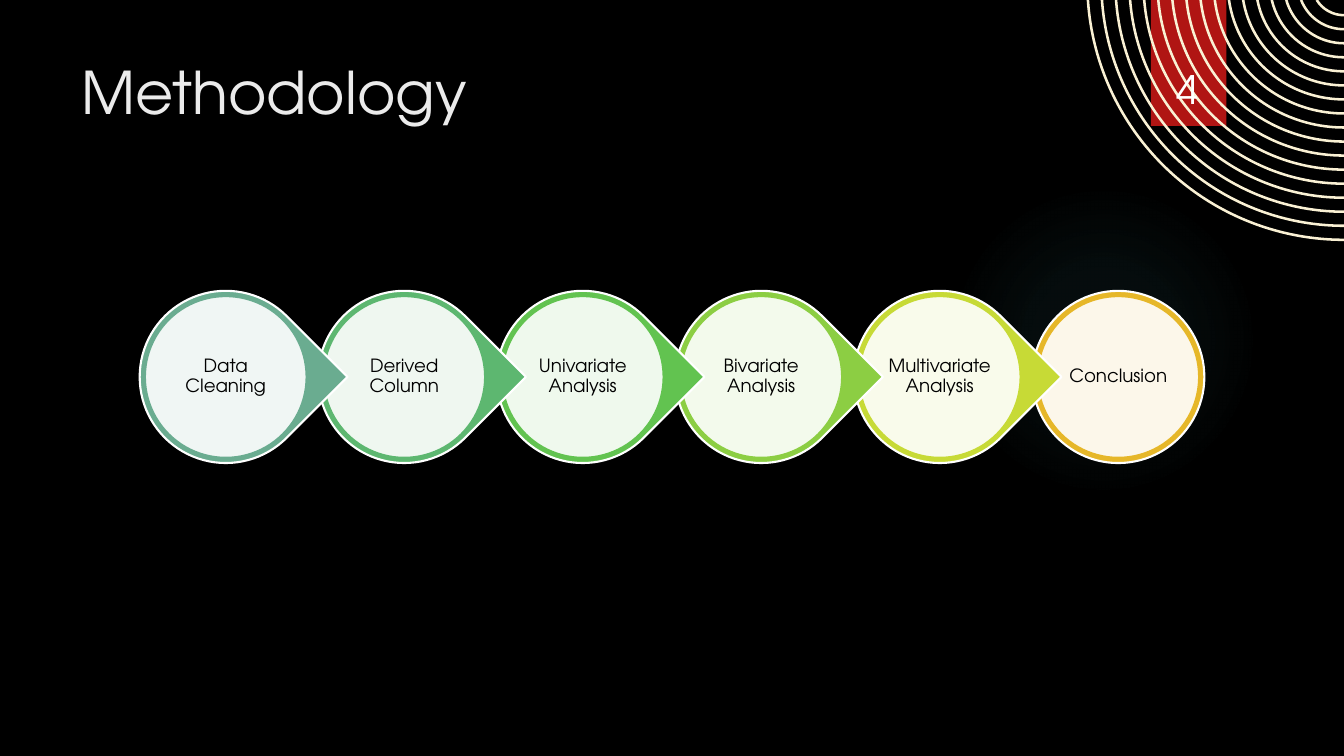
import math

import lxml.etree
import pptx
import pptx.dml.color
import pptx.enum.shapes
import pptx.enum.text
import pptx.oxml
import pptx.oxml.ns
import pptx.util

PX = 9525
FONT = "TeX Gyre Adventor"
HEX = {
    "back": "000000", "title": "EBEBEB", "white": "FFFFFF", "ink": "000000",
    "flag": "B01513", "ring": "FAF1D4", "glow": "50B9C1",
}
STEPS = [
    ("Data Cleaning", "6AAC90"),
    ("Derived Column", "5DB770"),
    ("Univariate Analysis", "62C350"),
    ("Bivariate Analysis", "8CCE43"),
    ("Multivariate Analysis", "C7DA36"),
    ("Conclusion", "E6B729"),
]
KIND = pptx.enum.shapes.MSO_SHAPE
ALIGN = pptx.enum.text.PP_ALIGN
ANCHOR = pptx.enum.text.MSO_ANCHOR


def rgb(code):
    return pptx.dml.color.RGBColor.from_string(code)


def place(shape, left, top, width, height):
    shape.left, shape.top = left * PX, top * PX
    shape.width, shape.height = width * PX, height * PX


def paint(shape, fill=None, line=None, weight=1.5):
    shape.shadow.inherit = False
    if fill:
        shape.fill.solid()
        shape.fill.fore_color.rgb = rgb(fill)
    else:
        shape.fill.background()
    if line:
        shape.line.color.rgb = rgb(line)
        shape.line.width = pptx.util.Pt(weight)
    else:
        shape.line.fill.background()


def add_form(slide, kind, box, fill, line=None):
    shape = slide.shapes.add_shape(kind, *(n * PX for n in box))
    paint(shape, fill, line)
    return shape


def fade(shape, alpha):
    """Make a solid fill partly clear; alpha is a percentage."""
    tint = shape._element.spPr.find(pptx.oxml.ns.qn("a:solidFill"))[0]
    node = lxml.etree.SubElement(tint, pptx.oxml.ns.qn("a:alpha"))
    node.set("val", str(alpha * 1000))


def write(shape, text, size, color, align, anchor):
    frame = shape.text_frame
    frame.word_wrap = True
    frame.vertical_anchor = anchor
    para = frame.paragraphs[0]
    para.alignment = align
    run = para.add_run()
    run.text = text
    run.font.name = FONT
    run.font.size = pptx.util.Pt(size)
    run.font.color.rgb = rgb(color)
    return frame


def add_text(slide, box, text, size, color, anchor):
    shape = slide.shapes.add_textbox(*(n * PX for n in box))
    return write(shape, text, size, color, ALIGN.CENTER, anchor)


def add_glow(slide):
    shape = add_form(slide, KIND.OVAL, (903, 176, 296, 296), HEX["glow"])
    stops = "".join(
        f'<a:gs pos="{pos * 1000}"><a:srgbClr val="{HEX["glow"]}">'
        f'<a:alpha val="{alpha * 1000}"/></a:srgbClr></a:gs>'
        for pos, alpha in ((0, 7), (36, 6), (69, 0), (100, 0))
    )
    grad = pptx.oxml.parse_xml(
        f'<a:gradFill {pptx.oxml.ns.nsdecls("a")}><a:gsLst>{stops}</a:gsLst>'
        '<a:path path="circle"><a:fillToRect l="50000" t="50000" '
        'r="50000" b="50000"/></a:path></a:gradFill>'
    )
    props = shape._element.spPr
    props.replace(props.find(pptx.oxml.ns.qn("a:solidFill")), grad)


def add_rings(slide):
    """Draw arcs about one centre, from the top edge to the right edge."""
    mid_x, rise = 1280, 16
    sizes = [30.5 + 13.37 * n for n in range(17)]
    starts = [round((mid_x - math.sqrt(r * r - rise * rise)) * PX) for r in sizes]
    pen = slide.shapes.build_freeform(starts[0], 0, scale=1.0)
    for left, radius in zip(starts, sizes):
        pen.move_to(left, 0)
        pen.add_line_segments([(mid_x * PX, round((radius - rise) * PX))], close=False)
    shape = pen.convert_to_shape()
    paint(shape, line=HEX["ring"], weight=1.8)
    chords = list(shape._element.iter(pptx.oxml.ns.qn("a:lnTo")))
    for chord, radius in zip(chords, sizes):
        angle = 180 - math.degrees(math.asin(rise / radius))
        bend = lxml.etree.Element(pptx.oxml.ns.qn("a:arcTo"))
        bend.set("wR", str(round(radius * PX)))
        bend.set("hR", str(round(radius * PX)))
        bend.set("stAng", str(round(angle * 60000)))
        bend.set("swAng", str(round((90 - angle) * 60000)))
        chord.getparent().replace(chord, bend)


def add_step(slide, index, label, color):
    left, top, size = 133 + 170 * index, 277, 164

    def inner(inset):
        side = size - 2 * inset
        return left + inset, top + inset, side, side

    last = index == len(STEPS) - 1
    kind = KIND.OVAL if last else KIND.TEAR
    drop = add_form(slide, kind, inner(0), color, HEX["white"])
    if not last:
        drop.adjustments[0] = 1.0
        drop.rotation = 45
    disc = add_form(slide, KIND.OVAL, inner(5), HEX["white"], color)
    fade(disc, 90)
    frame = add_text(slide, inner(27), label, 13, HEX["ink"], ANCHOR.MIDDLE)
    frame.margin_left = frame.margin_right = 2 * PX
    frame.margin_top = frame.margin_bottom = 2 * PX
    frame.paragraphs[0].line_spacing = 0.9


def main():
    deck = pptx.Presentation()
    deck.slide_width, deck.slide_height = 1280 * PX, 720 * PX
    slide = deck.slides.add_slide(deck.slide_layouts[5])
    slide.background.fill.solid()
    slide.background.fill.fore_color.rgb = rgb(HEX["back"])

    add_glow(slide)
    add_form(slide, KIND.RECTANGLE, (1096, 0, 72, 120), HEX["flag"])
    add_rings(slide)
    title = slide.shapes.title
    place(title, 68, 48, 988, 147)
    write(title, "Methodology", 42, HEX["title"], ALIGN.LEFT, ANCHOR.TOP)
    add_text(slide, (1087, 31, 88, 81), "4", 28, HEX["white"], ANCHOR.BOTTOM)
    for index, (label, color) in reversed(list(enumerate(STEPS))):
        add_step(slide, index, label, color)
    deck.save("out.pptx")


if __name__ == "__main__":
    main()
